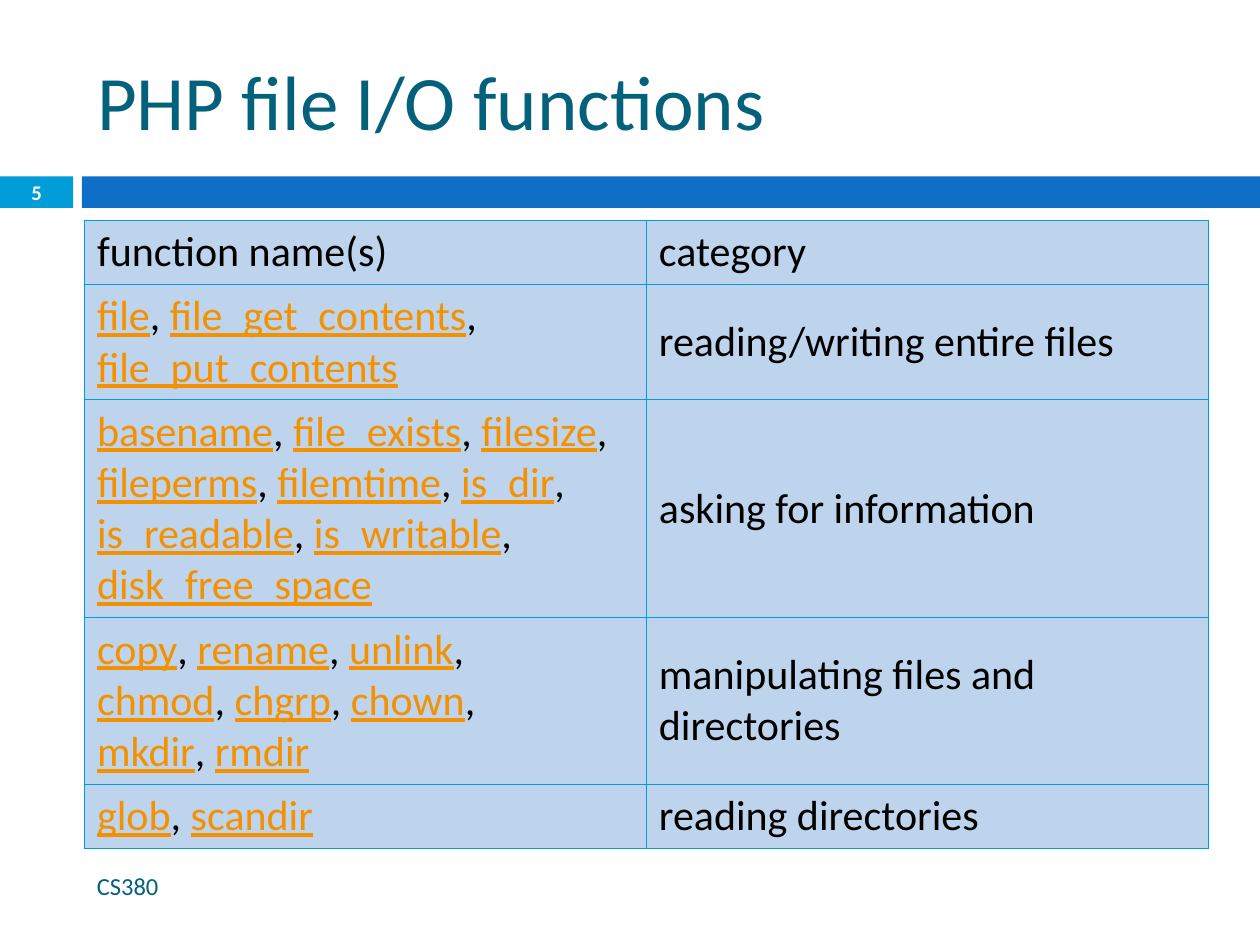
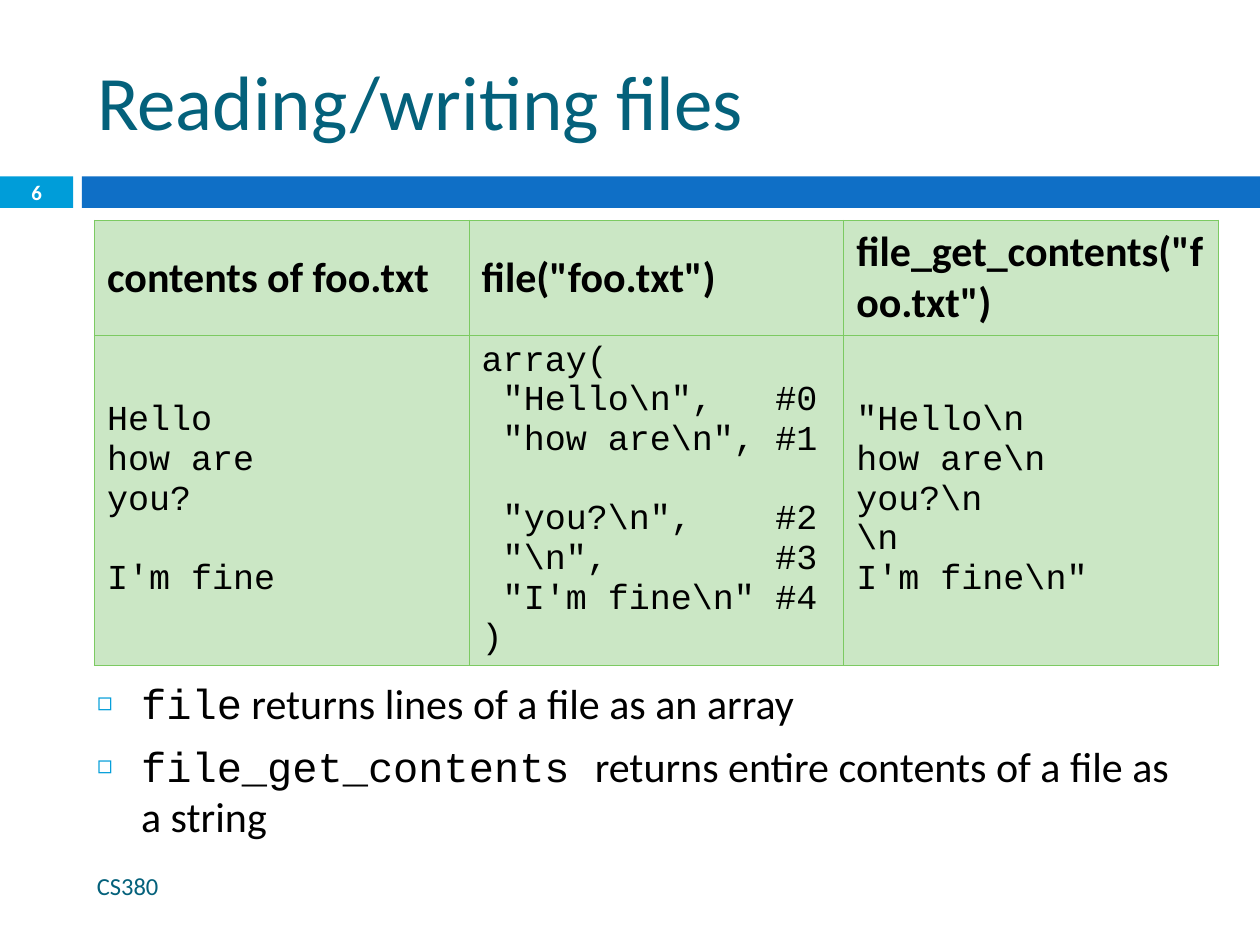
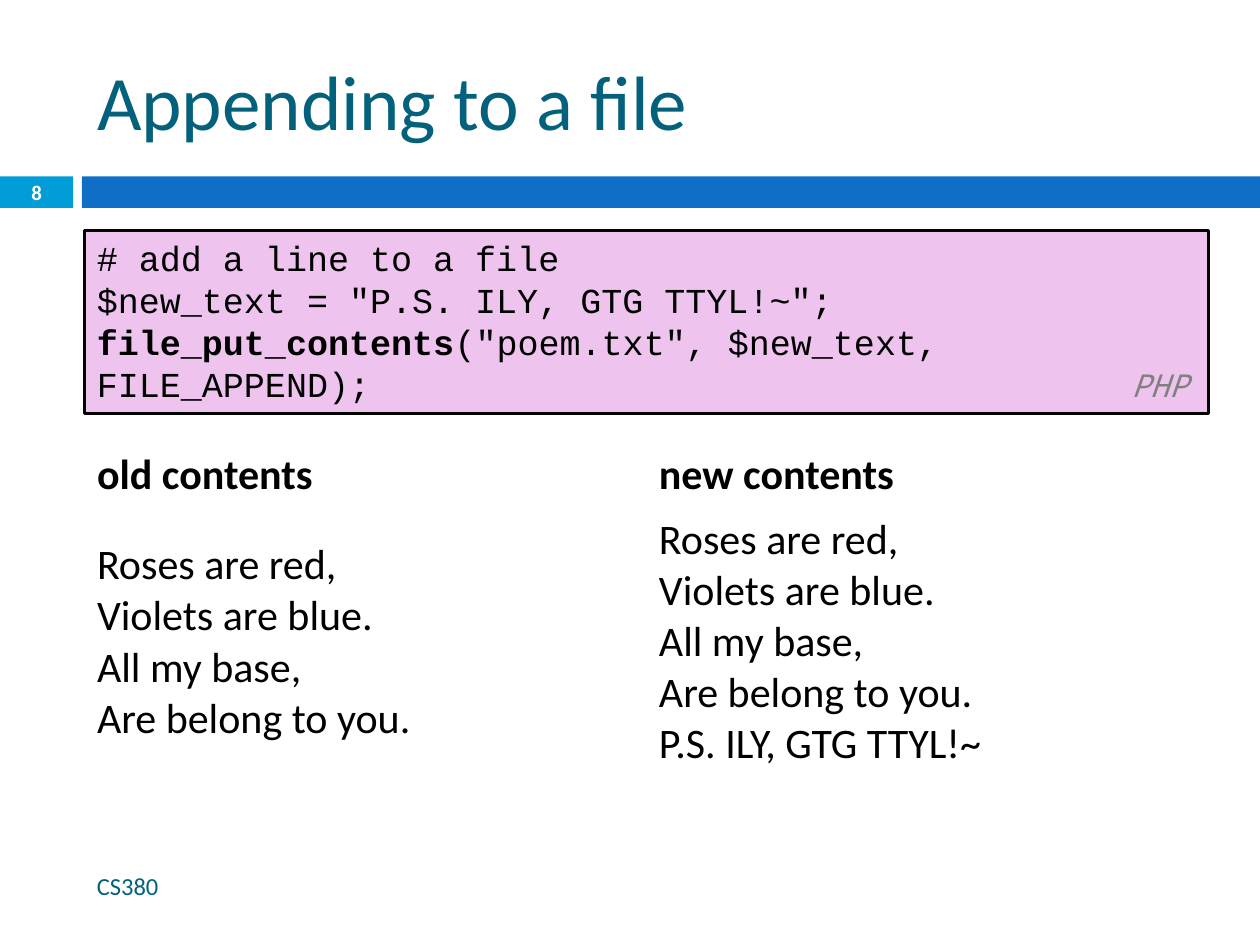
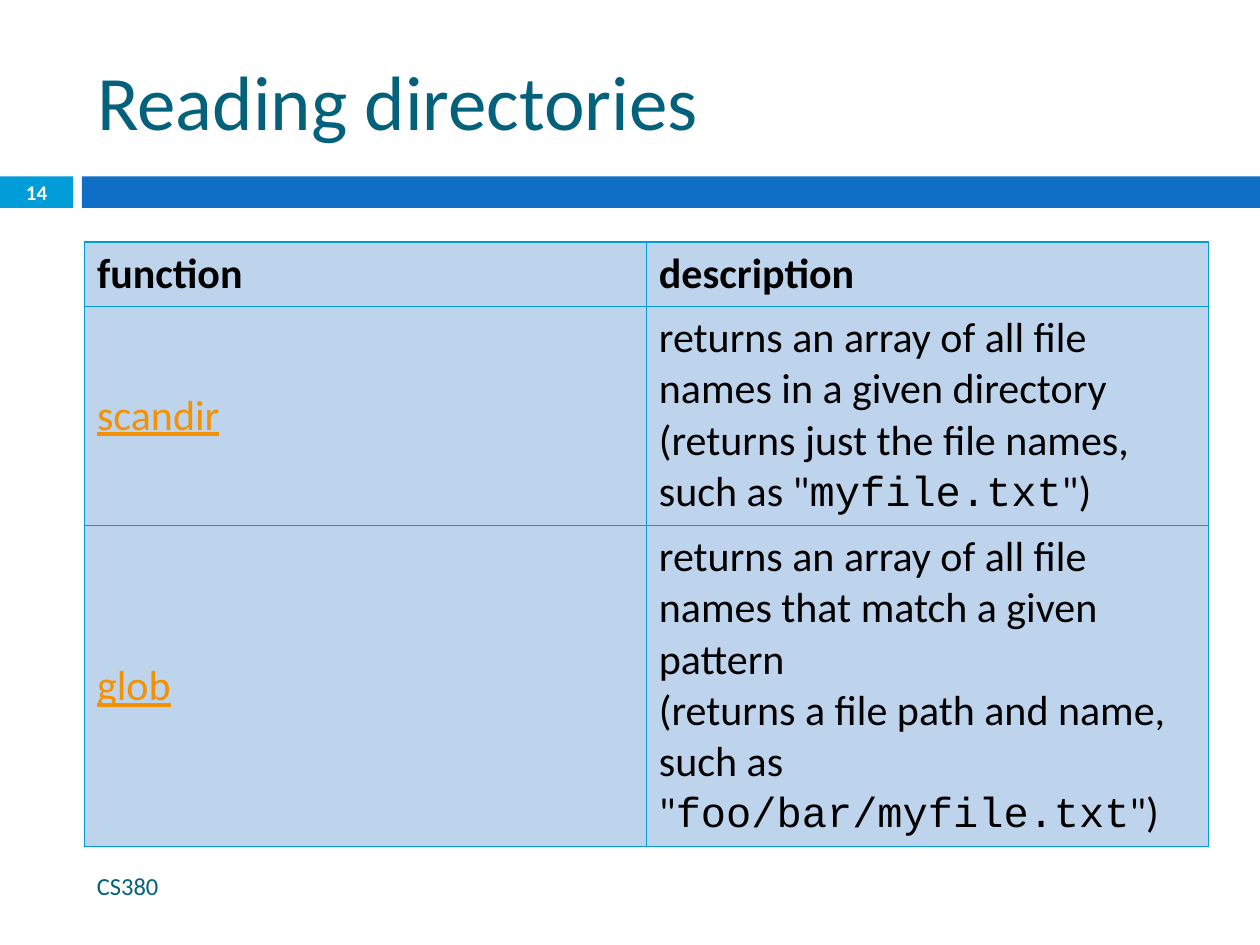
from lxml import etree
from pptx import Presentation
from pptx import util as u
from pptx.dml import color as c
from pptx.enum import shapes, text
from pptx.oxml import ns

COLORS = {
    "title": "04617B", "band": "0F6FC6", "accent": "009DD9", "link": "F49100",
    "ink": "000000", "white": "FFFFFF", "gray": "808080", "blue": "BDD4EC",
    "green": "CBE7C5", "green_line": "7CCA62", "pink": "EEC4EE",
}
SANS, CODE, LABEL = "Calibri", "Courier New", "Noto Sans Mono"
LEFT, WIDTH = 0.67, 8.92


def rgb(name):
    return c.RGBColor.from_string(COLORS[name])


def sub(parent, tag, **attrs):
    return etree.SubElement(parent, ns.qn("a:" + tag), **attrs)


def links(*lines):
    runs = []
    for i, line in enumerate(lines):
        names = line.split()
        for j, name in enumerate(names):
            runs.append((name, {"color": "link", "underline": True}))
            if j < len(names) - 1:
                runs.append(", ")
        if i < len(lines) - 1:
            runs.append(",\n")
    return [runs]


def code(*lines):
    return [[(line, {"font": CODE, "size": 20})] for line in lines]


def bold(line):
    return [[(line, {"bold": True})]]


class Deck:
    def __init__(self):
        self.prs = Presentation()
        self.prs.slide_width, self.prs.slide_height = u.Inches(10), u.Inches(7.5)
        self.s = None

    def slide(self, title, number, layout=5):
        self.s = self.prs.slides.add_slide(self.prs.slide_layouts[layout])
        self.box(0, 1.4, 0.58, 0.25, "accent")
        self.box(0.65, 1.4, 9.35, 0.25, "band")
        sp = self.s.shapes.title
        self.place(sp, LEFT, 0.25, WIDTH, 1.08)
        self.fill_text(sp.text_frame, [[title]], size=44, color="title")
        self.label("CS380", LEFT, 6.83, 5.93, 0.4, size=14, color="title")
        p = self.label(str(number), 0, 1.39, 0.58, 0.27, size=11.9, color="white", bold=True)
        p.alignment = text.PP_ALIGN.CENTER

    def place(self, sp, x, y, w, h):
        sp.left, sp.top, sp.width, sp.height = map(u.Inches, (x, y, w, h))

    def box(self, x, y, w, h, fill, line=None):
        sp = self.s.shapes.add_shape(shapes.MSO_SHAPE.RECTANGLE, *map(u.Inches, (x, y, w, h)))
        sp.shadow.inherit = False
        sp.fill.solid()
        sp.fill.fore_color.rgb = rgb(fill)
        if line:
            sp.line.color.rgb = rgb(line)
            sp.line.width = u.Pt(1.5)
        else:
            sp.line.fill.background()
        return sp

    def label(self, content, x, y, w, h, **style):
        tf = self.s.shapes.add_textbox(*map(u.Inches, (x, y, w, h))).text_frame
        return self.fill_text(tf, [[content]], **style)[0]

    def fill_text(self, tf, paragraphs, anchor=text.MSO_ANCHOR.MIDDLE, **style):
        tf.word_wrap = True
        tf.auto_size = text.MSO_AUTO_SIZE.NONE
        tf.vertical_anchor = anchor
        return self.add_text(tf, paragraphs, **style)

    def add_text(self, tf, paragraphs, **style):
        for i, runs in enumerate(paragraphs):
            p = tf.paragraphs[0] if i == 0 else tf.add_paragraph()
            p.alignment = text.PP_ALIGN.LEFT
            for item in runs:
                content, own = (item, {}) if isinstance(item, str) else item
                for j, part in enumerate(content.split("\n")):
                    if j:
                        p.add_line_break()
                    if part:
                        self.add_run(p, part, **{**style, **own})
        return tf.paragraphs

    def add_run(self, p, content, size=24, font=SANS, color="ink", bold=False,
                italic=False, underline=False):
        r = p.add_run()
        r.text = content
        r.font.size, r.font.name = u.Pt(size), font
        r.font.bold, r.font.italic, r.font.underline = bold, italic, underline
        r.font.color.rgb = rgb(color)

    def tab(self, p, inches, align="l"):
        tabs = sub(p._p.get_or_add_pPr(), "tabLst")
        sub(tabs, "tab", pos=str(u.Inches(inches)), algn=align)

    def bullets(self, paragraphs, x, y, w, h):
        sp = self.s.placeholders[1]
        self.place(sp, x, y, w, h)
        for p in self.fill_text(sp.text_frame, paragraphs, text.MSO_ANCHOR.TOP):
            p.space_before = u.Pt(7)
            pPr = p._p.get_or_add_pPr()
            indent = u.Inches(0.35)
            pPr.set("marL", str(indent))
            pPr.set("indent", str(-indent))
            sub(sub(pPr, "buClr"), "srgbClr", val=COLORS["accent"])
            sub(pPr, "buSzPct", val="60000")
            sub(pPr, "buChar", char="◻")

    def table(self, rows, x, y, heights, fill=None, line=None):
        cols = len(rows[0])
        tbl = self.s.shapes.add_table(
            len(rows), cols, *map(u.Inches, (x, y, WIDTH, sum(heights)))).table
        tbl.first_row = tbl.horz_banding = False
        for row, height in zip(tbl.rows, heights):
            row.height = u.Inches(height)
        for col in tbl.columns:
            col.width = u.Inches(WIDTH / cols)
        for i, row in enumerate(rows):
            for j, content in enumerate(row):
                cell = tbl.cell(i, j)
                cell.vertical_anchor = text.MSO_ANCHOR.MIDDLE
                paragraphs = [[content]] if isinstance(content, str) else content
                self.add_text(cell.text_frame, paragraphs)
                self.borders(cell, line)
                if fill:
                    cell.fill.solid()
                    cell.fill.fore_color.rgb = rgb(fill)
                else:
                    cell.fill.background()
        return tbl

    def borders(self, cell, line):
        tcPr = cell._tc.get_or_add_tcPr()
        for side in ("lnL", "lnR", "lnT", "lnB"):
            ln = sub(tcPr, side, w=str(u.Pt(0.79)))
            if line:
                sub(sub(ln, "solidFill"), "srgbClr", val=COLORS[line])
            else:
                sub(ln, "noFill")


deck = Deck()

deck.slide("PHP file I/O functions", 5)
deck.table([
    ["function name(s)", "category"],
    [links("file file_get_contents", "file_put_contents"), "reading/writing entire files"],
    [links("basename file_exists filesize", "fileperms filemtime is_dir",
           "is_readable is_writable disk_free_space"), "asking for information"],
    [links("copy rename unlink", "chmod chgrp chown", "mkdir rmdir"),
     "manipulating files and directories"],
    [links("glob scandir"), "reading directories"],
], LEFT, 1.75, [0.51, 0.91, 1.73, 1.32, 0.51], "blue", "accent")

deck.slide("Reading/writing files", 6, layout=1)
tbl = deck.table([
    [bold("contents of foo.txt"), bold('file("foo.txt")'), bold('file_get_contents("foo.txt")')],
    [code("Hello", "how are", "you?", "I'm fine"),
     code("array(", ' "Hello\\n",\t#0', ' "how are\\n",\t#1', ' "you?\\n",\t#2',
          ' "\\n",\t#3', ' "I\'m fine\\n"\t#4 )'),
     code('"Hello\\n', "how are\\n", "you?\\n", "\\n", 'I\'m fine\\n"')],
], 0.75, 1.75, [0.91, 2.62], "green", "green_line")
for col in (0, 1):
    tbl.cell(1, col).text_frame.paragraphs[2].space_after = u.Pt(22.6)
for p in tbl.cell(1, 1).text_frame.paragraphs[1:]:
    deck.tab(p, 2.33)
deck.bullets([
    [("file", {"font": CODE}), " returns lines of a file as an array"],
    [("file_get_contents ", {"font": CODE}), "returns entire contents of a file as a string"],
], LEFT, 5.33, WIDTH, 1.17)

deck.slide("Appending to a file", 8)
sp = deck.box(LEFT, 1.83, WIDTH, 1.45, "pink", "ink")
ps = deck.fill_text(sp.text_frame, [
    ["# add a line to a file"],
    ['$new_text = "P.S. ILY, GTG TTYL!~";'],
    [("file_put_contents", {"bold": True}), '("poem.txt", $new_text, FILE_APPEND);\t',
     ("PHP", {"font": LABEL, "size": 18, "color": "gray", "italic": True})],
], text.MSO_ANCHOR.TOP, font=CODE, size=20)
for p in ps:
    p.line_spacing = u.Pt(24)
deck.tab(ps[-1], 8.66, "r")
poem = [["Roses are red,"], ["Violets are blue."], ["All my base,"], ["Are belong to you."]]
deck.table([
    [bold("old contents"), bold("new contents")],
    [poem, poem + [["P.S. ILY, GTG TTYL!~"]]],
], LEFT, 3.52, [0.51, 2.13])

deck.slide("Reading directories", 14)
deck.table([
    [bold("function"), bold("description")],
    [links("scandir"),
     [["returns an array of all file names in a given directory\n"
       '(returns just the file names, such as "', ("myfile.txt", {"font": CODE}), '")']]],
    [links("glob"),
     [["returns an array of all file names that match a given pattern\n"
       '(returns a file path and name, such as "', ("foo/bar/myfile.txt", {"font": CODE}), '")']]],
], LEFT, 1.92, [0.51, 1.74, 2.55], "blue", "accent")

deck.prs.save("out.pptx")
